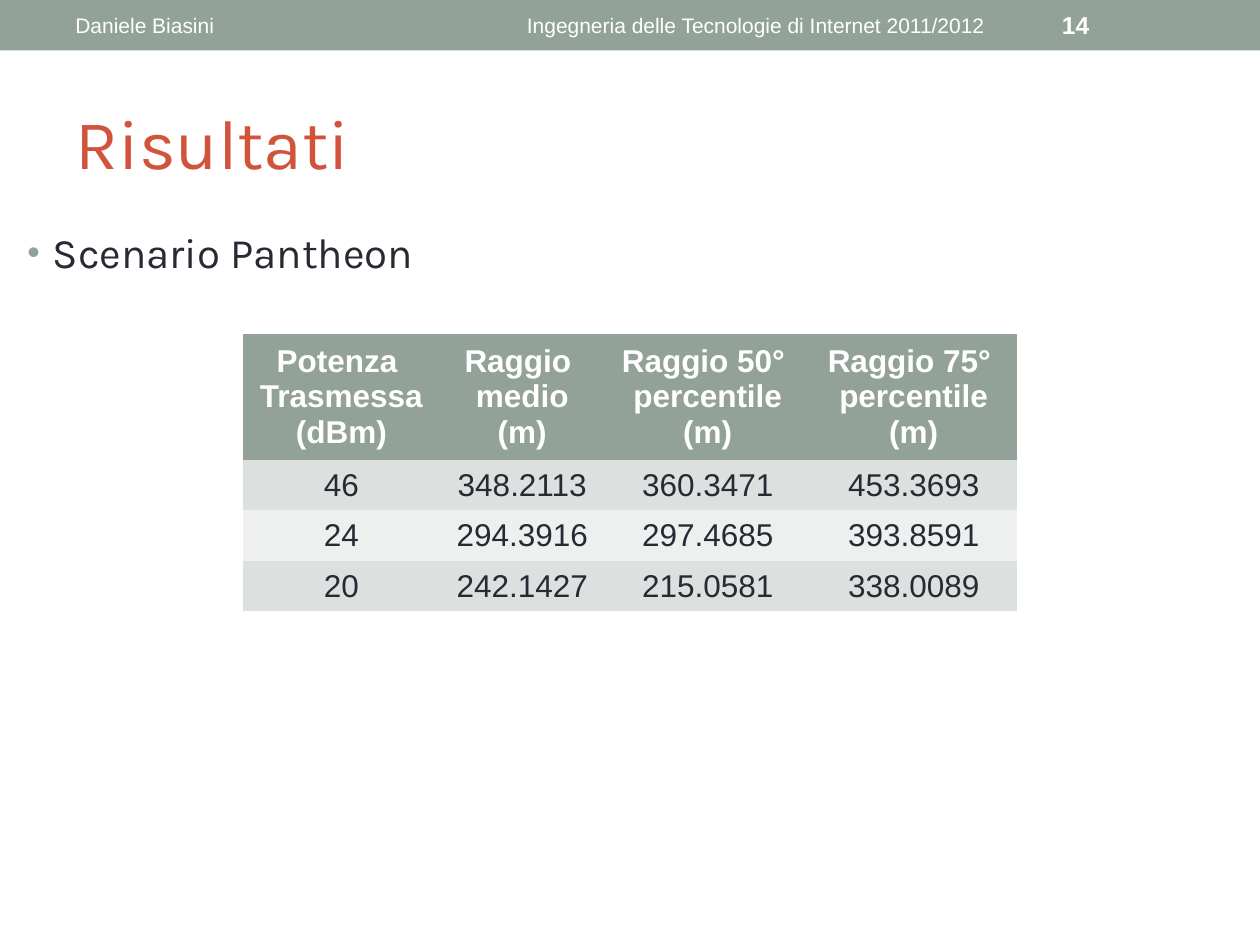
from pptx import Presentation
from pptx import util as u
from pptx.dml.color import RGBColor
from pptx.enum import shapes, text
from pptx.oxml import parse_xml
from pptx.oxml.ns import nsdecls

COLORS = {
    "sage": "93A299",
    "title": "D2533C",
    "ink": "292934",
    "white": "FFFFFF",
    "band_dark": "DCE0DE",
    "band_light": "EEF0EF",
}
LEFT, CENTER = text.PP_ALIGN.LEFT, text.PP_ALIGN.CENTER

HEADER_FONT = {"name": "Arial", "size": u.Pt(12), "bold": False}
NUMBER_FONT = {"name": "Arial", "size": u.Pt(14), "bold": True}
TITLE_FONT = {"name": "Karla", "size": u.Pt(40)}
BODY_FONT = {"name": "Karla", "size": u.Pt(24)}
TABLE_HEAD_FONT = {"name": "Arial", "size": u.Pt(18), "bold": True}
TABLE_BODY_FONT = {"name": "Arial", "size": u.Pt(18), "bold": False}

TABLE_HEADINGS = [
    ["Potenza ", "Trasmessa", "(dBm)"],
    ["Raggio ", "medio", "(m)"],
    ["Raggio 50° ", "percentile", "(m)"],
    ["Raggio 75° ", "percentile", "(m)"],
]
TABLE_VALUES = [
    ["46", "348.2113", "360.3471", "453.3693"],
    ["24", "294.3916", "297.4685", "393.8591"],
    ["20", "242.1427", "215.0581", "338.0089"],
]


def rgb(color):
    return RGBColor.from_string(COLORS[color])


def write_lines(frame, lines, font_format, color, align=LEFT):
    for index, line in enumerate(lines):
        paragraph = frame.paragraphs[0] if index == 0 else frame.add_paragraph()
        paragraph.alignment = align
        run = paragraph.add_run()
        run.text = line
        for name, value in font_format.items():
            setattr(run.font, name, value)
        run.font.color.rgb = rgb(color)


def add_text(slide, box, line, font_format, color, align=LEFT,
             anchor=text.MSO_ANCHOR.MIDDLE):
    shape = slide.shapes.add_textbox(*map(u.Inches, box))
    frame = shape.text_frame
    frame.word_wrap = True
    frame.vertical_anchor = anchor
    write_lines(frame, [line], font_format, color, align)
    return shape


def add_header(slide, left, top, width, height):
    bar = slide.shapes.add_shape(
        shapes.MSO_SHAPE.RECTANGLE, *map(u.Inches, (left, top, width, height)))
    bar.shadow.inherit = False
    bar.fill.solid()
    bar.fill.fore_color.rgb = rgb("sage")
    bar.line.fill.background()

    # Course, slide number and author
    fields = [
        (3.75, 4.5, "Ingegneria delle Tecnologie di Internet 2011/2012", HEADER_FONT, CENTER),
        (8.33, 1.17, "14", NUMBER_FONT, LEFT),
        (0.5, 3.17, "Daniele Biasini", HEADER_FONT, LEFT),
    ]
    for offset, field_width, line, font_format, align in fields:
        box = (left + offset, top + 0.02, field_width, height - 0.04)
        add_text(slide, box, line, font_format, "white", align)


def add_bullet(slide, left, top, width, height, line):
    shape = add_text(slide, (left, top, width, height), line, BODY_FONT, "ink",
                     anchor=text.MSO_ANCHOR.TOP)
    properties = shape.text_frame.paragraphs[0]._p.get_or_add_pPr()
    properties.set("marL", str(u.Inches(0.2)))
    properties.set("indent", str(u.Inches(-0.2)))
    for element in (
        f'<a:buClr {nsdecls("a")}><a:srgbClr val="{COLORS["sage"]}"/></a:buClr>',
        f'<a:buSzPct {nsdecls("a")} val="85000"/>',
        f'<a:buFont {nsdecls("a")} typeface="Arial"/>',
        f'<a:buChar {nsdecls("a")} char="•"/>',
    ):
        properties.append(parse_xml(element))


def fill_cell(cell, lines, font_format, color, fill):
    cell.fill.solid()
    cell.fill.fore_color.rgb = rgb(fill)
    cell.vertical_anchor = text.MSO_ANCHOR.MIDDLE
    write_lines(cell.text_frame, lines, font_format, color, CENTER)


def add_results_table(slide, left, top, width, height):
    head_height = 1
    row_height = (height - head_height) / len(TABLE_VALUES)
    first_columns = [1.56, 1.31]
    last_column = (width - sum(first_columns)) / 2
    table = slide.shapes.add_table(
        len(TABLE_VALUES) + 1, len(TABLE_HEADINGS),
        *map(u.Inches, (left, top, width, height))).table
    for column, column_width in zip(table.columns, first_columns + [last_column] * 2):
        column.width = u.Inches(column_width)
    for index, row in enumerate(table.rows):
        row.height = u.Inches(row_height if index else head_height)

    # Heading row
    for column, lines in enumerate(TABLE_HEADINGS):
        fill_cell(table.cell(0, column), lines, TABLE_HEAD_FONT, "white", "sage")

    # Banded value rows
    for row, values in enumerate(TABLE_VALUES, start=1):
        band = "band_dark" if row % 2 else "band_light"
        for column, value in enumerate(values):
            fill_cell(table.cell(row, column), [value], TABLE_BODY_FONT, "ink", band)

    # No ruling between the cells
    for cell in table.iter_cells():
        properties = cell._tc.get_or_add_tcPr()
        for index, side in enumerate(("lnL", "lnR", "lnT", "lnB")):
            properties.insert(index, parse_xml(
                f'<a:{side} {nsdecls("a")} w="0"><a:noFill/></a:{side}>'))


def main():
    presentation = Presentation()
    presentation.slide_width = u.Inches(10)
    presentation.slide_height = u.Inches(7.5)
    slide = presentation.slides.add_slide(presentation.slide_layouts[6])

    add_header(slide, 0, 0, 10, 0.4)
    add_text(slide, (0.5, 0.58, 9, 1.08), "Risultati", TITLE_FONT, "title")
    add_bullet(slide, 0.12, 1.75, 9.76, 5.62, "Scenario Pantheon")
    add_results_table(slide, 1.93, 2.65, 6.14, 2.2)

    presentation.save("out.pptx")


if __name__ == "__main__":
    main()
